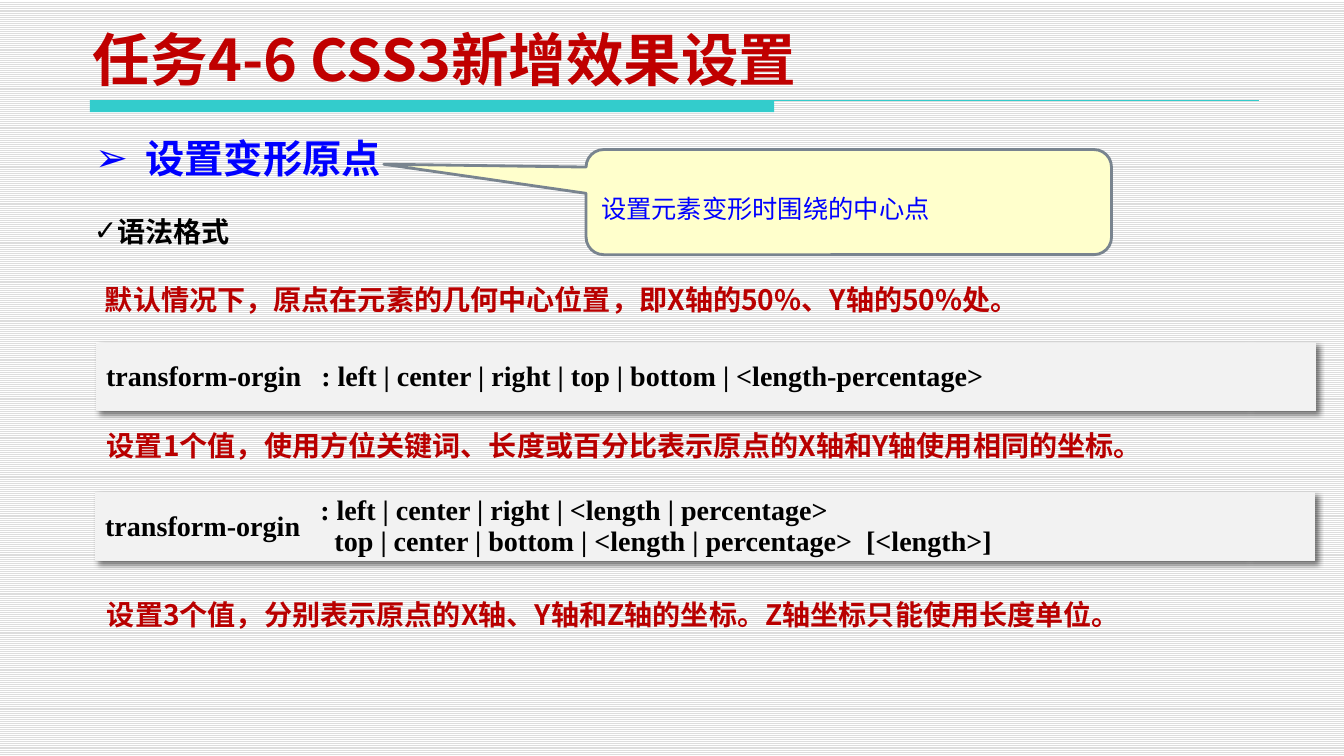
from lxml.etree import SubElement
from pptx import Presentation
from pptx.dml.color import RGBColor
from pptx.enum.dml import MSO_PATTERN as Pattern
from pptx.enum.shapes import MSO_CONNECTOR as Connector, MSO_SHAPE as Shape
from pptx.enum.text import MSO_ANCHOR as Anchor, MSO_AUTO_SIZE as AutoSize, PP_ALIGN as Align
from pptx.oxml import parse_xml
from pptx.oxml.ns import qn
from pptx.util import Pt

PX = 9144
TITLE_RED = RGBColor(0xC0, 0x00, 0x00)
NOTE_RED = RGBColor(0xB9, 0x00, 0x00)
BLUE = RGBColor(0x00, 0x00, 0xFF)
BLACK = RGBColor(0x00, 0x00, 0x00)
WHITE = RGBColor(0xFF, 0xFF, 0xFF)
STRIPE = RGBColor(0xDD, 0xDD, 0xDD)
TEAL = RGBColor(0x33, 0xCC, 0xCC)
CREAM = RGBColor(0xFF, 0xFF, 0xCC)
SLATE = RGBColor(0x79, 0x84, 0x8F)
LIGHT = RGBColor(0xF2, 0xF2, 0xF2)
NOTO, TIMES, DEJAVU = "Noto Sans CJK SC", "Times New Roman", "DejaVu Sans"
DRAWING = "http://schemas.openxmlformats.org/drawingml/2006/main"


def write(para, text, font=NOTO, size=20, color=BLACK, bold=True, bullet=None, left=0, hanging=0):
    para.alignment = Align.LEFT
    para.space_before = Pt(0)
    props = para._p.get_or_add_pPr()
    props.set("marL", str(left * PX))
    props.set("indent", str(-hanging * PX))
    if bullet:
        SubElement(props, qn("a:buFont")).set("typeface", DEJAVU)
        SubElement(props, qn("a:buChar")).set("char", bullet)
    span = para.add_run()
    span.text = text
    span.font.name = font
    span.font.size = Pt(size)
    span.font.bold = bold
    span.font.color.rgb = color
    SubElement(span._r.get_or_add_rPr(), qn("a:ea")).set("typeface", NOTO)


def place(box, left, top, width, height):
    box.left, box.top, box.width, box.height = (n * PX for n in (left, top, width, height))


deck = Presentation()
deck.slide_width, deck.slide_height = 1330 * PX, 748 * PX
page = deck.slides.add_slide(deck.slide_layouts[3])
backdrop = page.background.fill
backdrop.patterned()
backdrop.pattern = Pattern.LIGHT_HORIZONTAL
backdrop.fore_color.rgb = STRIPE
backdrop.back_color.rgb = WHITE

bar = page.shapes.add_shape(Shape.RECTANGLE, 89 * PX, 99 * PX, 677 * PX, 12 * PX)
bar.shadow.inherit = False
bar.fill.solid()
bar.fill.fore_color.rgb = TEAL
bar.line.fill.background()
rule = page.shapes.add_connector(Connector.STRAIGHT, 89 * PX, 99 * PX, 1246 * PX, 99 * PX)
rule.line.color.rgb = TEAL
rule.line.width = Pt(0.75)
SubElement(rule._element.spPr, qn("a:effectLst"))

title, heading, syntax = page.placeholders
place(title, 82, 28, 803, 69)
place(heading, 84, 128, 1203, 58)
place(syntax, 83, 207, 733, 44)
for box in (title, heading, syntax):
    box.text_frame.auto_size = AutoSize.NONE
    box.text_frame.vertical_anchor = Anchor.TOP
title.text_frame.vertical_anchor = Anchor.BOTTOM
write(title.text_frame.paragraphs[0], "任务4-6 CSS3新增效果设置", size=41, color=TITLE_RED)
write(heading.text_frame.paragraphs[0], "设置变形原点", font=DEJAVU, size=28, color=BLUE,
      bullet="➢", left=50, hanging=50)
write(syntax.text_frame.paragraphs[0], "语法格式", font=TIMES, bullet="✓")

callout = page.shapes.add_shape(Shape.ROUNDED_RECTANGULAR_CALLOUT, 580 * PX, 148 * PX, 520 * PX, 104 * PX)
callout.shadow.inherit = False
for index, value in enumerate((-0.885, -0.36, 0.167)):
    callout.adjustments[index] = value
callout.fill.solid()
callout.fill.fore_color.rgb = CREAM
callout.line.color.rgb = SLATE
callout.line.width = Pt(2)
callout.text_frame.word_wrap = True
callout.text_frame.vertical_anchor = Anchor.MIDDLE
callout_para = callout.text_frame.paragraphs[0]
callout_para.line_spacing = Pt(30)
write(callout_para, "设置元素变形时围绕的中心点", font=DEJAVU, size=18, color=BLUE, bold=False)

notes = [
    (94, 275, 1009, "默认情况下，原点在元素的几何中心位置，即X轴的50%、Y轴的50%处。"),
    (96, 419, 1034, "设置1个值，使用方位关键词、长度或百分比表示原点的X轴和Y轴使用相同的坐标。"),
    (96, 586, 1009, "设置3个值，分别表示原点的X轴、Y轴和Z轴的坐标。Z轴坐标只能使用长度单位。"),
]
for left, top, width, text in notes:
    box = page.shapes.add_textbox(left * PX, top * PX, width * PX, 44 * PX)
    box.text_frame.word_wrap = True
    box.text_frame.auto_size = AutoSize.SHAPE_TO_FIT_TEXT
    write(box.text_frame.paragraphs[0], text, color=NOTE_RED)

tables = [
    (95, 339, [(": left | center | right | top | bottom | <length-percentage>", 0)]),
    (94, 487, [(": left | center | right | <length | percentage>", 0),
               ("top | center | bottom | <length | percentage>  [<length>]", 14)]),
]
for left, top, values in tables:
    table = page.shapes.add_table(1, 3, left * PX, top * PX, 1207 * PX, 68 * PX).table
    table.first_row = table.horz_banding = False
    table._tbl.tblPr.insert(0, parse_xml(
        f'<a:effectLst xmlns:a="{DRAWING}"><a:outerShdw blurRad="50800" dist="38100" dir="2700000">'
        '<a:srgbClr val="000000"><a:alpha val="50000"/></a:srgbClr></a:outerShdw></a:effectLst>'))
    for column, width in zip(table.columns, (216, 922, 69)):
        column.width = width * PX
    for cell in table.iter_cells():
        cell.fill.solid()
        cell.fill.fore_color.rgb = LIGHT
        cell.vertical_anchor = Anchor.MIDDLE
        for side in ("a:lnL", "a:lnR", "a:lnT", "a:lnB"):
            border = parse_xml(f'<{side} xmlns:a="{DRAWING}" w="0"><a:noFill/></{side}>')
            cell._tc.tcPr.insert(len(cell._tc.tcPr) - 1, border)
    name_cell, value_cell = table.cell(0, 0), table.cell(0, 1)
    write(name_cell.text_frame.paragraphs[0], "transform-orgin", font=TIMES)
    value_cell.margin_left = value_cell.margin_right = 7 * PX
    value_cell.margin_top = value_cell.margin_bottom = 0
    frame = value_cell.text_frame
    for index, (text, indent) in enumerate(values):
        para = frame.add_paragraph() if index else frame.paragraphs[0]
        write(para, text, font=TIMES, left=indent)

deck.save("out.pptx")
